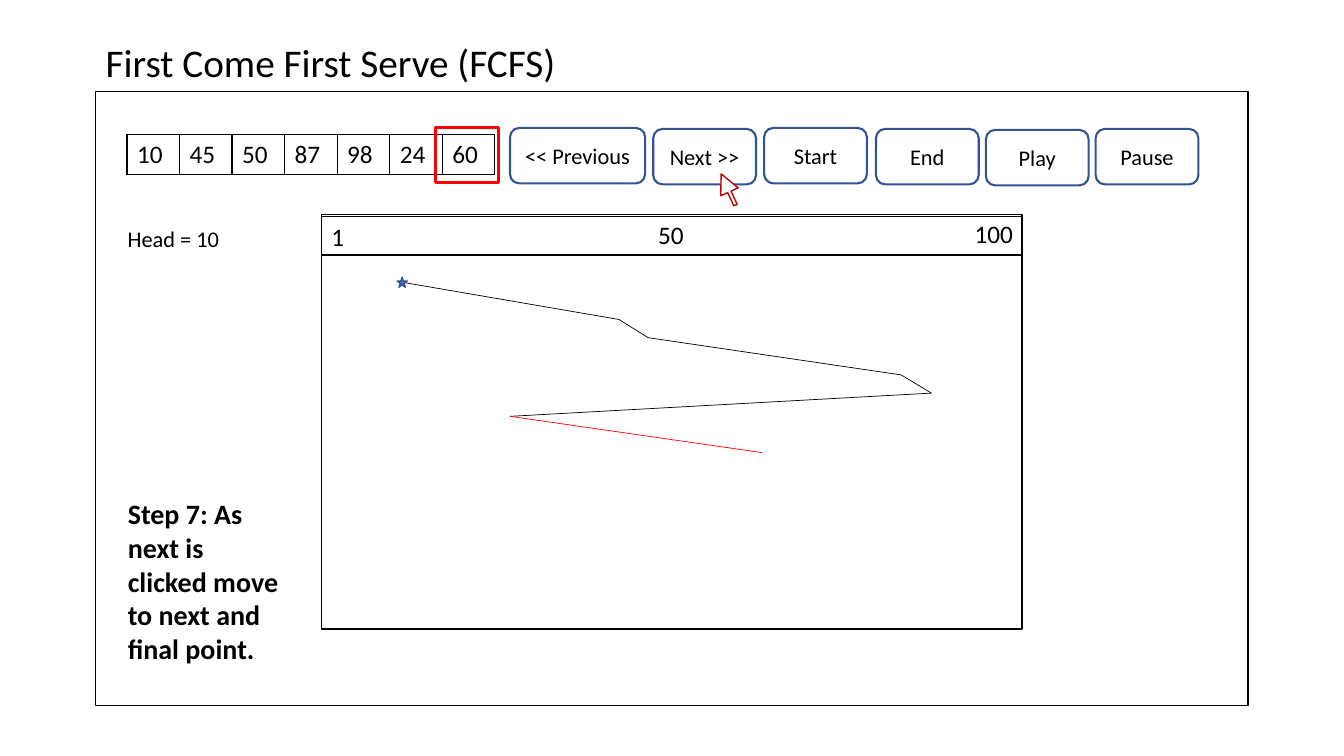
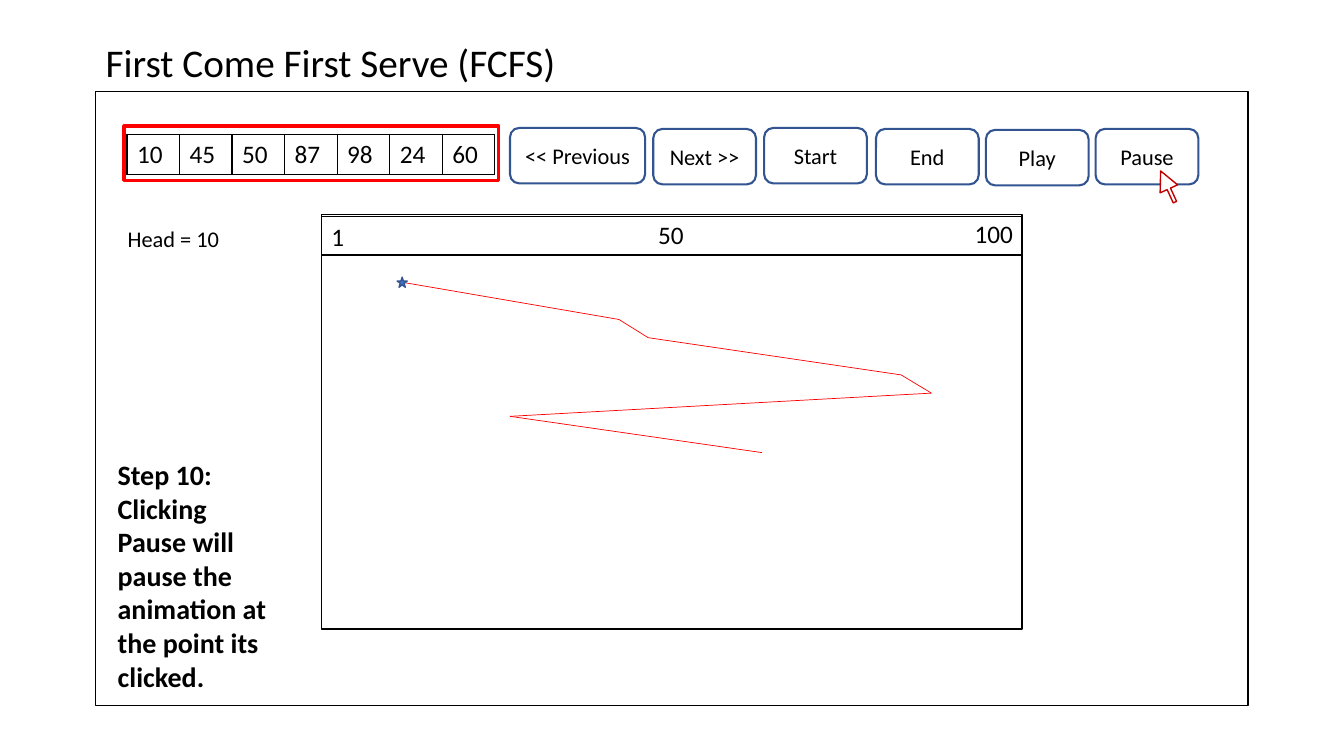
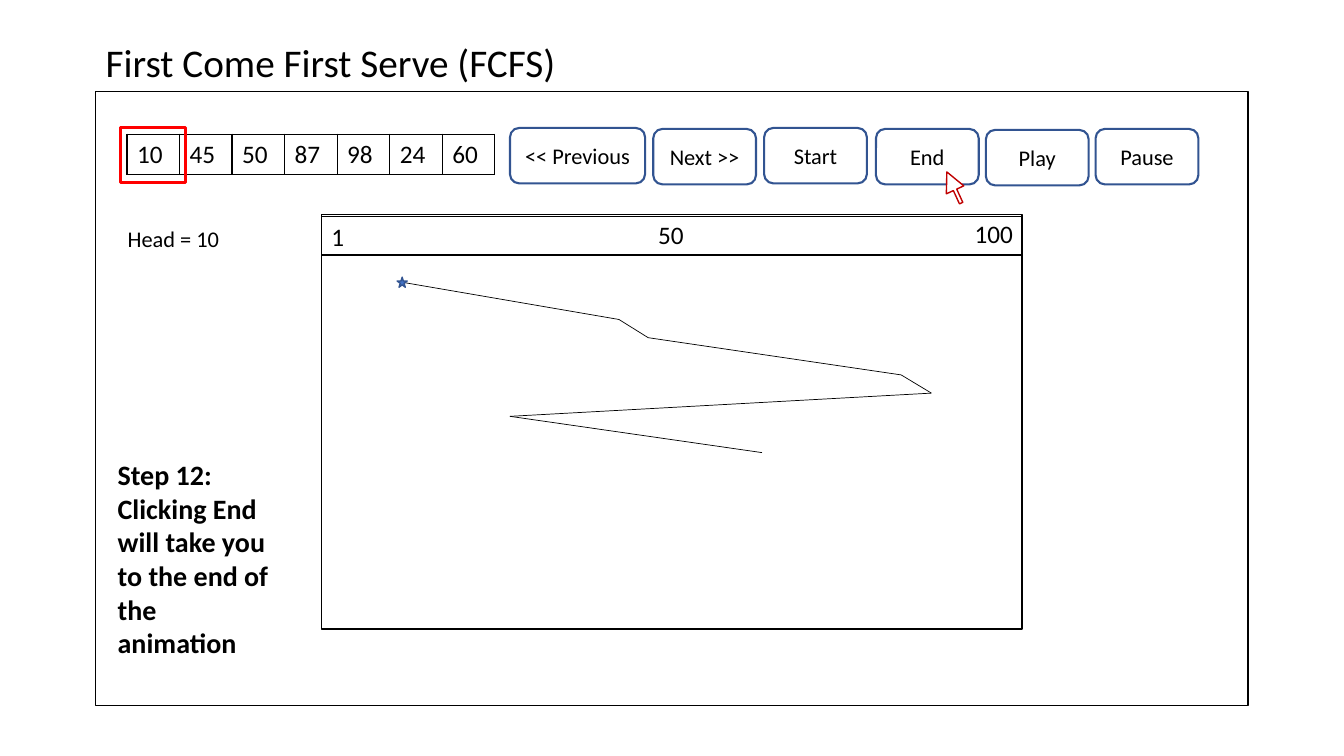
from dataclasses import dataclass
from itertools import pairwise

from lxml import etree
from pptx import Presentation
from pptx.dml.color import RGBColor
from pptx.enum.shapes import MSO_CONNECTOR, MSO_SHAPE
from pptx.enum.text import MSO_ANCHOR, PP_ALIGN
from pptx.oxml.ns import qn
from pptx.util import Pt

RECTANGLE = MSO_SHAPE.RECTANGLE
ROUNDED = MSO_SHAPE.ROUNDED_RECTANGLE
STAR = MSO_SHAPE.STAR_5_POINT
UP_ARROW = MSO_SHAPE.UP_ARROW
STRAIGHT = MSO_CONNECTOR.STRAIGHT
LEFT, CENTER = PP_ALIGN.LEFT, PP_ALIGN.CENTER
TOP, MIDDLE = MSO_ANCHOR.TOP, MSO_ANCHOR.MIDDLE


@dataclass(frozen=True)
class Theme:
    font: str = "Calibri"
    ink: str = "000000"
    paper: str = "FFFFFF"
    active: str = "FF0000"
    pointer: str = "C00000"
    star: str = "4472C4"
    button: str = "325491"
    title_size: float = 28
    step_size: float = 20
    number_size: float = 18
    label_size: float = 16
    thin: float = 0.5
    line: float = 1
    button_line: float = 1.5
    highlight_line: float = 2.25


THEME = Theme()

# Boxes are left, top, width, height in points
TITLE_BOX = (68.4, 23.8, 341.3, 41)
FRAME_BOX = (68.4, 65.5, 823, 438.5)
QUEUE_BOX = (90.7, 95.8, 262.8, 29)
HEAD_BOX = (84.2, 157, 84.3, 26.6)
PANEL_BOX = (229.7, 153.4, 500.4, 295.9)
BUTTON_BAR = (364.3, 91.4, 492.1, 39.6)

REQUESTS = (10, 45, 50, 87, 98, 24, 60)
# Label, left and top within the bar, width
BUTTONS = (
    ("<< Previous", 0, 0, 96.5),
    ("Next >>", 102.3, 0.7, 73.4),
    ("Start", 181.5, 0, 73.4),
    ("End", 261.4, 0.7, 73.4),
    ("Play", 339.9, 1.4, 73.4),
    ("Pause", 418.3, 0.7, 73.4),
)
# Label, left and top within the panel, width
SCALE = (("1", 0, 1.4, 23), ("100", 459.4, -0.7, 49.7), ("50", 233.3, 0, 33.8))
# Head positions within the panel, one for each request
STOPS = ((57.6, 48.2), (212.4, 74.8), (233.3, 87.8), (414, 114.4),
         (435.6, 127.4), (134.6, 144), (314.6, 169.9))

# Active segments, highlight box, pointer corner, step text and its box
STEPS = (
    {"active": (5,), "highlight": (311, 91.4, 45.4, 38.9),
     "pointer": (513.4, 123.1), "note_box": (84.2, 351.4, 121.7, 152.6),
     "note": "Step 7: As next is clicked move to next and final point."},
    {"active": range(6), "highlight": (88.6, 90, 267.8, 38.9),
     "pointer": (827.3, 121), "note_box": (77, 323.3, 127.4, 177.1),
     "note": "Step 10: Clicking Pause will pause the animation "
             "at the point its clicked."},
    {"active": (), "highlight": (86.4, 91.4, 46.1, 38.9),
     "pointer": (674.6, 121.7), "note_box": (77, 323.3, 127.4, 152.6),
     "note": "Step 12: Clicking End will take you to the end of the animation"},
)


def points(values):
    return [Pt(value) for value in values]


def color(code):
    return RGBColor.from_string(code)


def write(frame, text, *, size, bold=False, align=LEFT, anchor=TOP):
    frame.word_wrap = True
    frame.vertical_anchor = anchor
    para = frame.paragraphs[0]
    para.alignment = align
    span = para.add_run()
    span.text = text
    span.font.name = THEME.font
    span.font.size = Pt(size)
    span.font.bold = bold
    span.font.color.rgb = color(THEME.ink)


def add_text(page, box, text, **style):
    write(page.shapes.add_textbox(*points(box)).text_frame, text, **style)


def add_box(page, kind, box, *, line, width=THEME.line, fill=None):
    shape = page.shapes.add_shape(kind, *points(box))
    shape.shadow.inherit = False
    if fill:
        shape.fill.solid()
        shape.fill.fore_color.rgb = color(fill)
    else:
        shape.fill.background()
    shape.line.color.rgb = color(line)
    shape.line.width = Pt(width)
    return shape


def add_line(page, start, end, line):
    connector = page.shapes.add_connector(STRAIGHT, *points(start + end))
    connector.line.color.rgb = color(line)
    connector.line.width = Pt(THEME.thin)
    etree.SubElement(connector.element.spPr, qn("a:effectLst"))


def border_cell(cell):
    properties = cell._tc.get_or_add_tcPr()
    for position, side in enumerate(("lnL", "lnR", "lnT", "lnB")):
        edge = etree.Element(qn(f"a:{side}"), w=str(Pt(THEME.line)))
        fill = etree.SubElement(edge, qn("a:solidFill"))
        etree.SubElement(fill, qn("a:srgbClr"), val=THEME.ink)
        properties.insert(position, edge)


def add_queue(page, box):
    table = page.shapes.add_table(1, len(REQUESTS), *points(box)).table
    table.first_row = table.horz_banding = False
    for column, request in enumerate(REQUESTS):
        table.columns[column].width = Pt(round(box[2] / len(REQUESTS), 2))
        cell = table.cell(0, column)
        cell.fill.background()
        border_cell(cell)
        write(cell.text_frame, str(request), size=THEME.number_size)


def add_buttons(page, bar):
    left, top, _, height = bar
    for label, across, down, width in BUTTONS:
        button = add_box(page, ROUNDED,
                         (left + across, top + down, width, height),
                         line=THEME.button, width=THEME.button_line,
                         fill=THEME.paper)
        write(button.text_frame, label, size=THEME.label_size,
              align=CENTER, anchor=MIDDLE)


def add_panel(page, box, active):
    left, top, width, _ = box
    # Cylinder scale
    add_box(page, RECTANGLE, box, line=THEME.ink)
    add_box(page, RECTANGLE, (left, top + 1.4, width, 27.4), line=THEME.ink)
    for label, across, down, label_width in SCALE:
        add_text(page, (left + across, top + down, label_width, 29), label,
                 size=THEME.number_size)
    # Head movement
    stops = [(left + across, top + down) for across, down in STOPS]
    for index, (start, end) in enumerate(pairwise(stops)):
        add_line(page, start, end,
                 THEME.active if index in active else THEME.ink)
    # Start marker
    add_box(page, STAR, (left + 54, top + 44.6, 7.2, 7.2),
            line=THEME.button, fill=THEME.star)


def add_pointer(page, corner):
    arrow = add_box(page, UP_ARROW, (*corner, 13.7, 24.5),
                    line=THEME.pointer, fill=THEME.paper)
    arrow.rotation = 335.4
    arrow.adjustments[0] = 0.19
    arrow.adjustments[1] = 1.03


def add_step_page(deck, step):
    page = deck.slides.add_slide(deck.slide_layouts[6])
    add_box(page, RECTANGLE, FRAME_BOX, line=THEME.ink)
    add_text(page, TITLE_BOX, "First Come First Serve (FCFS)",
             size=THEME.title_size)
    add_queue(page, QUEUE_BOX)
    add_text(page, HEAD_BOX, f"Head = {REQUESTS[0]}", size=THEME.label_size)
    add_panel(page, PANEL_BOX, step["active"])
    add_text(page, step["note_box"], step["note"],
             size=THEME.step_size, bold=True)
    add_box(page, RECTANGLE, step["highlight"], line=THEME.active,
            width=THEME.highlight_line)
    add_buttons(page, BUTTON_BAR)
    add_pointer(page, step["pointer"])


def main():
    deck = Presentation()
    deck.slide_width, deck.slide_height = Pt(960), Pt(540)
    for step in STEPS:
        add_step_page(deck, step)
    deck.save("out.pptx")


if __name__ == "__main__":
    main()
